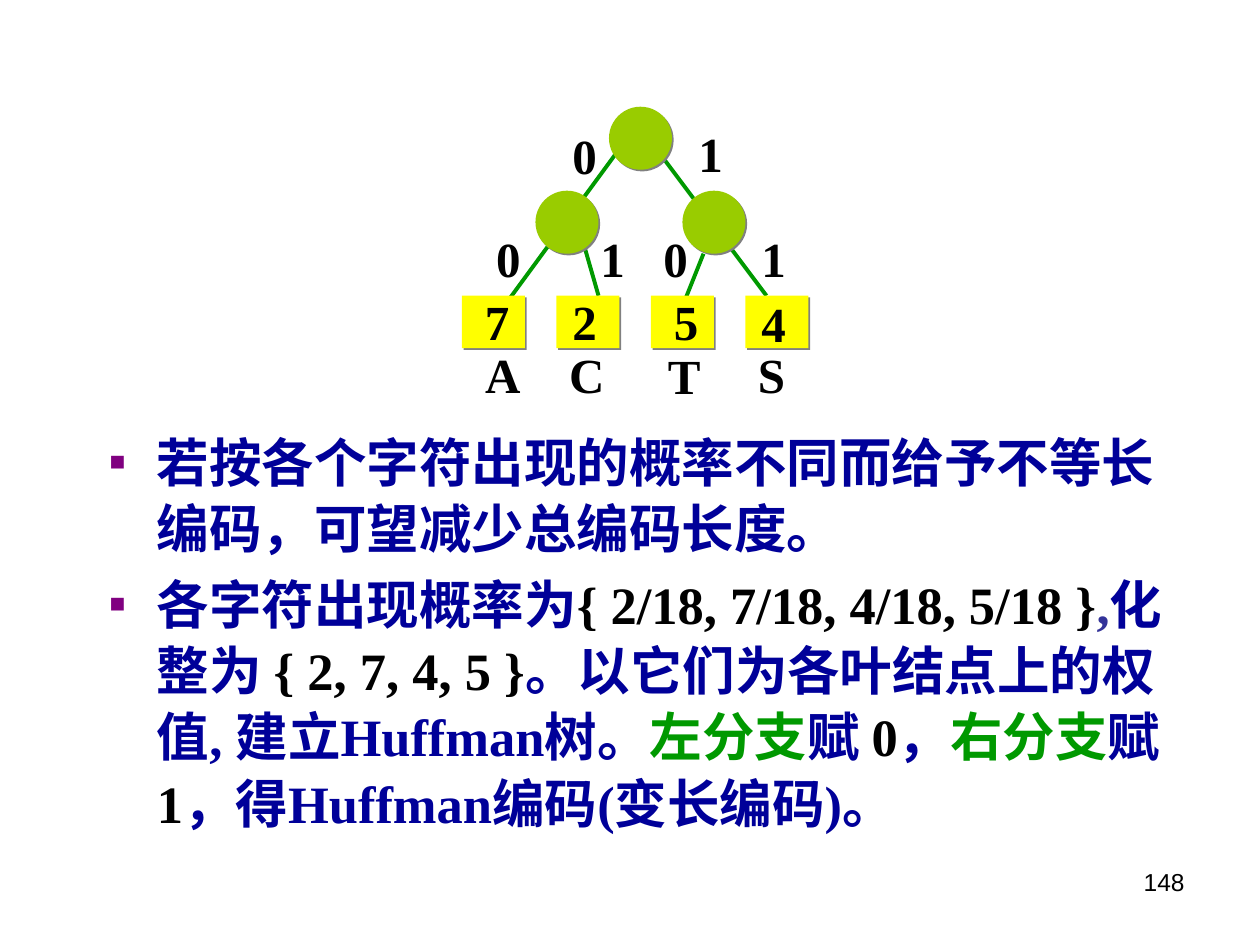
"""Build the slide that derives a Huffman code from a weighted tree."""
from dataclasses import dataclass
from typing import NamedTuple

from lxml.etree import SubElement
from pptx import Presentation
from pptx.dml.color import RGBColor
from pptx.enum.shapes import MSO_CONNECTOR as Connector, MSO_SHAPE as Preset
from pptx.enum.text import MSO_ANCHOR as Anchor, PP_ALIGN as Align
from pptx.oxml.ns import qn
from pptx.util import Pt


@dataclass(frozen=True)
class Theme:
    """Colours and type sizes of the slide."""
    ink: str = "000000"
    body: str = "000099"
    comma: str = "333399"
    branch: str = "009900"
    inner: str = "99CC00"
    leaf: str = "FFFF00"
    shadow: str = "808080"
    bullet: str = "800080"
    serif: str = "Times New Roman"
    sans: str = "Arial"
    body_size: float = 30
    label_size: float = 28
    number_size: float = 14


class Span(NamedTuple):
    """A stretch of text in one colour."""
    text: str
    color: str


class Node(NamedTuple):
    """A tree node, placed by its top left corner."""
    left: float
    top: float


class Edge(NamedTuple):
    """A branch from a parent to a child."""
    x1: float
    y1: float
    x2: float
    y2: float


class Label(NamedTuple):
    """A tree label, placed by its box."""
    text: str
    left: float
    top: float
    width: float = 28


THEME = Theme()
NODE_SIZE, LEAF_HEIGHT, LEAF_TOP = 36, 30, 169
EDGES = [Edge(402, 145, 390, 175), Edge(366, 73, 438, LEAF_TOP),
         Edge(330, 127, 342, LEAF_TOP), Edge(354, 85, 288, 175)]
INNER_NODES = [Node(348, 61), Node(306, 109), Node(390, 109)]
LEAVES = [Node(264 + 54 * index, LEAF_TOP) for index in range(4)]
LABELS = [
    Label("0", 320, 68), Label("1", 392, 67),
    Label("0", 276.5, 127), Label("1", 336, 127), Label("0", 372, 127), Label("1", 428, 127),
    Label("7", 270, 163), Label("2", 320, 163), Label("5", 378, 163), Label("4", 428, 164),
    Label("A", 270, 193, 34.5), Label("C", 318, 193, 34.5),
    Label("T", 374.5, 194, 33), Label("S", 426, 193, 29.5),
]
BODY = [
    [Span("若按各个字符出现的概率不同而给予不等长编码，可望减少总编码长度。", THEME.body)],
    [Span("各字符出现概率为", THEME.body), Span("{ 2/18, 7/18, 4/18, 5/18 }", THEME.ink),
     Span(",", THEME.comma), Span("化整为 ", THEME.body), Span("{ 2, 7, 4, 5 }", THEME.ink),
     Span("。以它们为各叶结点上的权值, 建立Huffman树。", THEME.body),
     Span("左分支", THEME.branch), Span("赋 ", THEME.body), Span("0", THEME.ink),
     Span("，", THEME.body), Span("右分支", THEME.branch), Span("赋 ", THEME.body),
     Span("1", THEME.ink), Span("，得Huffman编码(变长编码)。", THEME.body)],
]


def add_bullet(para) -> None:
    """Give a paragraph a hanging square bullet."""
    props = para._p.get_or_add_pPr()
    props.set("marL", str(Pt(27)))
    props.set("indent", str(Pt(-27)))
    SubElement(SubElement(props, qn("a:buClr")), qn("a:srgbClr"), val=THEME.bullet)
    SubElement(props, qn("a:buSzPct"), val="50000")
    SubElement(props, qn("a:buFont"), typeface=THEME.sans)
    SubElement(props, qn("a:buChar"), char="■")


def add_text(page, paragraphs: list[list[Span]], left: float, top: float, width: float,
             height: float, *, size: float, font: str = THEME.serif, bold: bool = True,
             align=Align.LEFT, anchor=Anchor.TOP, wrap: bool = True, bullets: bool = False,
             spacing: float = 1, gap: float = 0) -> None:
    """Add a text box of coloured spans."""
    frame = page.shapes.add_textbox(Pt(left), Pt(top), Pt(width), Pt(height)).text_frame
    frame.word_wrap, frame.vertical_anchor = wrap, anchor
    for index, spans in enumerate(paragraphs):
        para = frame.add_paragraph() if index else frame.paragraphs[0]
        if bullets:
            add_bullet(para)
        para.alignment, para.line_spacing = align, spacing
        para.space_before = Pt(gap if index else 0)
        for span in spans:
            run = para.add_run()
            run.text = span.text
            run.font.name, run.font.size, run.font.bold = font, Pt(size), bold
            run.font.color.rgb = RGBColor.from_string(span.color)


def add_edge(page, edge: Edge) -> None:
    """Draw one branch."""
    line = page.shapes.add_connector(Connector.STRAIGHT, *map(Pt, edge))
    line.line.color.rgb = RGBColor.from_string(THEME.branch)
    line.line.width = Pt(2.25)
    SubElement(line._element.spPr, qn("a:effectLst"))


def add_node(page, node: Node, preset, height: float, color: str) -> None:
    """Draw one node with a hard shadow."""
    shape = page.shapes.add_shape(preset, Pt(node.left), Pt(node.top), Pt(NODE_SIZE), Pt(height))
    shape.fill.solid()
    shape.fill.fore_color.rgb = RGBColor.from_string(color)
    shape.line.fill.background()
    shape.shadow.inherit = False
    effects = shape._element.spPr.find(qn("a:effectLst"))
    shadow = SubElement(effects, qn("a:outerShdw"), dist=str(Pt(1.4)), dir="2700000",
                        algn="ctr", rotWithShape="0")
    SubElement(shadow, qn("a:srgbClr"), val=THEME.shadow)


def main() -> None:
    """Build and save the deck."""
    deck = Presentation()
    deck.slide_width, deck.slide_height = Pt(720), Pt(540)
    page = deck.slides.add_slide(deck.slide_layouts[6])
    add_text(page, BODY, 55.5, 240.5, 636, 240, size=THEME.body_size, bullets=True,
             spacing=1.05, gap=5.6)
    for edge in EDGES:
        add_edge(page, edge)
    for node in INNER_NODES:
        add_node(page, node, Preset.OVAL, NODE_SIZE, THEME.inner)
    for node in LEAVES:
        add_node(page, node, Preset.RECTANGLE, LEAF_HEIGHT, THEME.leaf)
    for label in LABELS:
        add_text(page, [[Span(label.text, THEME.ink)]], label.left, label.top, label.width, 41,
                 size=THEME.label_size, align=Align.CENTER, anchor=Anchor.MIDDLE, wrap=False)
    add_text(page, [[Span("148", THEME.ink)]], 516, 492, 168, 37.5, size=THEME.number_size,
             font=THEME.sans, bold=False, align=Align.RIGHT)
    deck.save("out.pptx")


if __name__ == "__main__":
    main()
